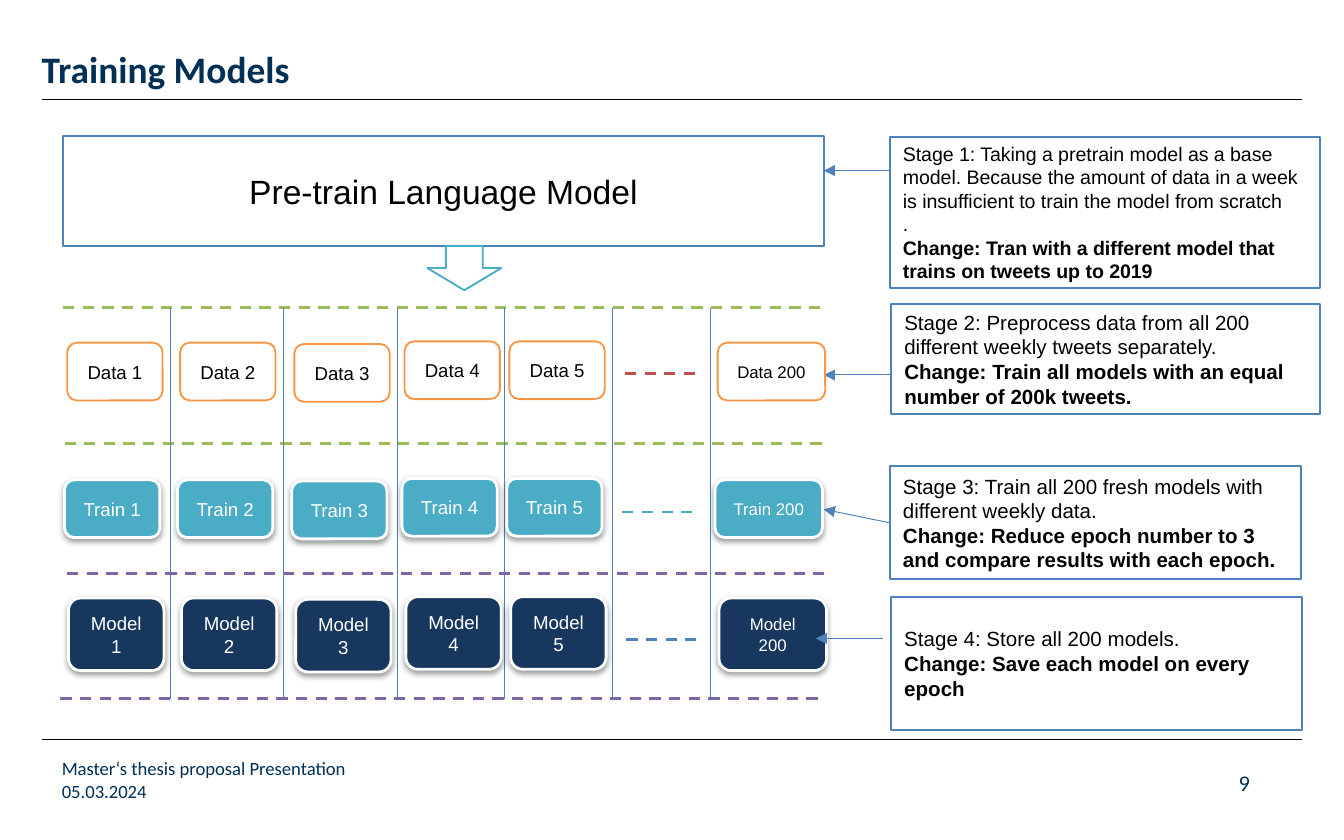
from dataclasses import dataclass

from lxml import etree
from pptx import Presentation
from pptx.dml.color import RGBColor
from pptx.enum.dml import MSO_LINE
from pptx.enum.shapes import MSO_CONNECTOR, MSO_SHAPE
from pptx.enum.text import MSO_ANCHOR, MSO_AUTO_SIZE, PP_ALIGN
from pptx.oxml.ns import qn
from pptx.util import Inches, Pt

RECT, ROUNDED, DOWN_ARROW = MSO_SHAPE.RECTANGLE, MSO_SHAPE.ROUNDED_RECTANGLE, MSO_SHAPE.DOWN_ARROW
STRAIGHT, DASH = MSO_CONNECTOR.STRAIGHT, MSO_LINE.DASH
LEFT, CENTER, RIGHT = PP_ALIGN.LEFT, PP_ALIGN.CENTER, PP_ALIGN.RIGHT
TOP, MIDDLE, BOTTOM = MSO_ANCHOR.TOP, MSO_ANCHOR.MIDDLE, MSO_ANCHOR.BOTTOM
NO_FIT = MSO_AUTO_SIZE.NONE


@dataclass(frozen=True)
class Theme:
    heading_font: str = "Calibri"
    body_font: str = "Arial"
    ink: str = "003056"
    black: str = "000000"
    white: str = "FFFFFF"
    blue: str = "4F81BD"
    teal: str = "4BACC6"
    orange: str = "F79646"
    green: str = "9BBB59"
    purple: str = "8064A2"
    red: str = "C0504D"
    navy: str = "17375E"
    title: float = 20
    base_model: float = 18
    page: float = 12
    stage: float = 11
    stage_small: float = 10.5
    small: float = 10
    tiny: float = 9


THEME = Theme()

# left, width, vertical shift, number
COLUMNS = [(0.5, 0.71, 0, 1), (1.34, 0.71, 0, 2), (2.19, 0.71, 0.01, 3),
           (3.01, 0.71, -0.01, 4), (3.79, 0.71, -0.01, 5), (5.34, 0.8, 0, 200)]
DIVIDERS = [1.27, 2.11, 2.96, 3.75, 4.56, 5.29]

# name, left shift, top, height, fill, outline, text colour, ellipsis y, ellipsis colour
ROWS = [
    ("Data", 0, 2.55, 0.43, THEME.white, THEME.orange, THEME.black, 2.78, THEME.red),
    ("Train", -0.02, 3.57, 0.43, THEME.teal, THEME.white, THEME.white, 3.81, THEME.teal),
    ("Model", 0.01, 4.45, 0.54, THEME.navy, THEME.white, THEME.white, 4.76, THEME.blue),
]

# left, right, y, colour
ROW_BORDERS = [(0.47, 6.13, 2.29, THEME.green), (0.48, 6.14, 3.3, THEME.green),
               (0.5, 6.16, 4.27, THEME.purple), (0.45, 6.13, 5.2, THEME.purple)]

# box, text size, plain paragraphs, bold paragraph
STAGES = [
    ((6.62, 1.02, 3.2, 1.12), THEME.stage_small,
     ["Stage 1: Taking a pretrain model as a base model. Because the amount of data in a week "
      "is insufficient to train the model from scratch", "."],
     "Change: Tran with a different model that trains on tweets up to 2019"),
    ((6.63, 2.26, 3.19, 0.82), THEME.stage,
     ["Stage 2: Preprocess data from all 200 different weekly tweets separately."],
     "Change: Train all models with an equal number of 200k tweets."),
    ((6.62, 3.47, 3.06, 0.84), THEME.stage,
     ["Stage 3: Train all 200 fresh models with different weekly data."],
     "Change: Reduce epoch number to 3 and compare results with each epoch."),
    ((6.63, 4.44, 3.06, 0.99), THEME.stage,
     ["Stage 4: Store all 200 models."],
     "Change: Save each model on every epoch"),
]
STAGE_ARROWS = [(6.63, 1.27, 6.13, 1.27), (6.62, 2.79, 6.13, 2.79),
                (6.62, 3.89, 6.13, 3.79), (6.57, 4.75, 6.07, 4.75)]


def rgb(color):
    return RGBColor.from_string(color)


def inches(values):
    return [Inches(v) for v in values]


def format_paragraph(p, size, color, font, align=LEFT, bold=False):
    p.alignment = align
    p.font.size, p.font.name, p.font.bold = Pt(size), font, bold
    p.font.color.rgb = rgb(color)


def clear_margins(tf):
    tf.margin_left = tf.margin_top = tf.margin_right = tf.margin_bottom = 0


def add_line(slide, ends, color, width=0.5, dashed=False, arrow=False):
    line = slide.shapes.add_connector(STRAIGHT, *inches(ends))
    line.line.color.rgb = rgb(color)
    line.line.width = Pt(width)
    if dashed:
        line.line.dash_style = DASH
    if arrow:
        etree.SubElement(line.line._get_or_add_ln(), qn("a:tailEnd"), type="triangle")
    etree.SubElement(line._element.spPr, qn("a:effectLst"))


def add_box(slide, kind, box, fill, outline, width=1):
    sp = slide.shapes.add_shape(kind, *inches(box))
    sp.shadow.inherit = False
    sp.fill.solid()
    sp.fill.fore_color.rgb = rgb(fill)
    sp.line.color.rgb = rgb(outline)
    sp.line.width = Pt(width)
    sp.text_frame.word_wrap = True
    sp.text_frame.vertical_anchor = MIDDLE
    return sp


def add_soft_shadow(sp):
    effects = sp._element.spPr.find(qn("a:effectLst"))
    shadow = etree.SubElement(effects, qn("a:outerShdw"), blurRad="40000", dist="20000",
                              dir="5400000", rotWithShape="0")
    color = etree.SubElement(shadow, qn("a:srgbClr"), val=THEME.black)
    etree.SubElement(color, qn("a:alpha"), val="38000")


def add_label(slide, box, text, size, align=LEFT):
    """Add a marginless text box in the footer style."""
    tf = slide.shapes.add_textbox(*inches(box)).text_frame
    tf.word_wrap = True
    tf.vertical_anchor = TOP
    clear_margins(tf)
    tf.text = text
    format_paragraph(tf.paragraphs[0], size, THEME.ink, THEME.heading_font, align)


def add_title(slide, text):
    title = slide.shapes.title
    title.left, title.top, title.width, title.height = inches((0.31, 0.18, 9.37, 0.5))
    tf = title.text_frame
    tf.auto_size = NO_FIT
    tf.word_wrap = True
    tf.vertical_anchor = BOTTOM
    clear_margins(tf)
    tf.text = text
    p = tf.paragraphs[0]
    p.line_spacing = 0.9
    format_paragraph(p, THEME.title, THEME.ink, THEME.heading_font, bold=True)


def add_frame(slide):
    """Add the rules and footer around the content."""
    for y in (0.74, 5.5):
        add_line(slide, (0.31, y, 9.69, y), THEME.black)
    add_label(slide, (0.46, 5.63, 4.22, 0.2), "Master‘s thesis proposal Presentation", THEME.small)
    add_label(slide, (0.46, 5.8, 3.11, 0.2), "05.03.2024", THEME.small)
    add_label(slide, (7.76, 5.72, 1.54, 0.2), "9", THEME.page, RIGHT)


def add_base_model(slide):
    sp = add_box(slide, RECT, (0.47, 1.01, 5.66, 0.82), THEME.white, THEME.blue)
    sp.text_frame.text = "Pre-train Language Model"
    format_paragraph(sp.text_frame.paragraphs[0], THEME.base_model, THEME.black,
                     THEME.body_font, CENTER)
    add_box(slide, DOWN_ARROW, (3.18, 1.83, 0.55, 0.33), THEME.white, THEME.teal)


def add_row(slide, name, shift, top, height, fill, outline, color, dots_y, dots_color):
    raised = outline == THEME.white
    for left, width, drop, number in COLUMNS:
        sp = add_box(slide, ROUNDED, (left + shift, top + drop, width, height), fill, outline,
                     1.5 if raised else 1)
        if raised:
            add_soft_shadow(sp)
        sp.text_frame.text = f"{name} {number}"
        size = THEME.tiny if number == 200 else THEME.small
        format_paragraph(sp.text_frame.paragraphs[0], size, color, THEME.body_font, CENTER)
    add_line(slide, (4.65 + shift, dots_y, 5.22 + shift, dots_y), dots_color, 1.5, dashed=True)


def add_stage(slide, box, size, notes, change):
    tf = add_box(slide, RECT, box, THEME.white, THEME.blue).text_frame
    tf.text = "\n".join([*notes, change])
    for i, p in enumerate(tf.paragraphs):
        format_paragraph(p, size, THEME.black, THEME.body_font, bold=i == len(notes))


def main():
    prs = Presentation()
    prs.slide_width, prs.slide_height = Inches(10), Inches(6.25)
    slide = prs.slides.add_slide(prs.slide_layouts[5])
    add_frame(slide)
    add_title(slide, "Training Models")
    for ends in STAGE_ARROWS[:3]:
        add_line(slide, ends, THEME.blue, arrow=True)
    add_base_model(slide)
    for left, right, y, color in ROW_BORDERS:
        add_line(slide, (left, y, right, y), color, 1.5, dashed=True)
    for x in DIVIDERS:
        add_line(slide, (x, 2.29, x, 5.2), THEME.blue)
    for row in ROWS:
        add_row(slide, *row)
    add_line(slide, STAGE_ARROWS[3], THEME.blue, arrow=True)
    for stage in STAGES:
        add_stage(slide, *stage)
    prs.save("out.pptx")


if __name__ == "__main__":
    main()
